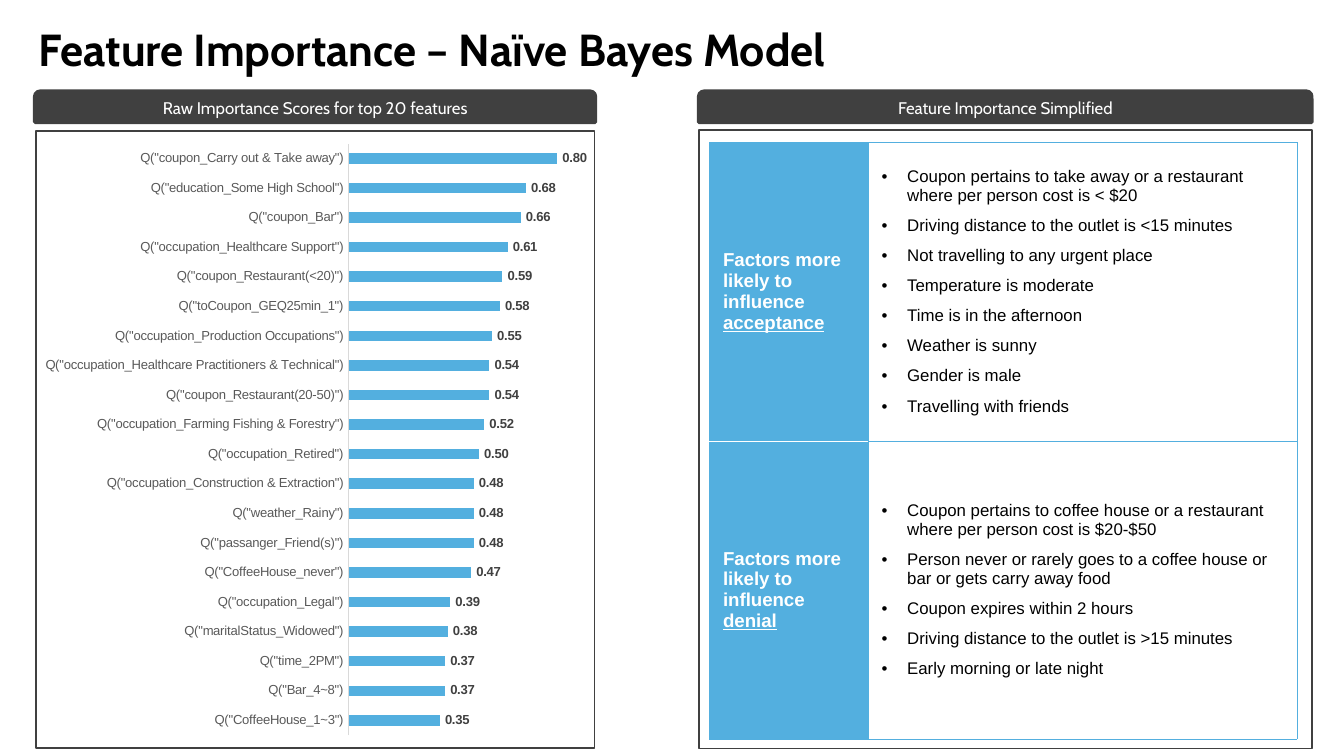
from dataclasses import dataclass

from lxml.etree import SubElement
from pptx import Presentation
from pptx.chart.data import CategoryChartData
from pptx.dml.color import RGBColor
from pptx.enum.chart import XL_CHART_TYPE, XL_LABEL_POSITION, XL_TICK_LABEL_POSITION, XL_TICK_MARK
from pptx.enum.shapes import MSO_SHAPE
from pptx.enum.text import MSO_ANCHOR, PP_ALIGN
from pptx.oxml import parse_xml
from pptx.oxml.ns import nsdecls, qn
from pptx.util import Inches, Pt


@dataclass(frozen=True)
class Theme:
    blue: str = "53AFDF"
    dark: str = "404040"
    grey: str = "595959"
    rule: str = "D9D9D9"
    black: str = "000000"
    white: str = "FFFFFF"
    heading: str = "Cabin"
    body: str = "Arial"
    title_size: int = 24
    factor_size: int = 10
    text_size: int = 9
    chart_size: int = 7


T = Theme()
LEFT_X, LEFT_W = 0.26, 4.17
RIGHT_X, RIGHT_W = 5.2, 4.56
HEADER_Y, HEADER_H = 0.68, 0.23
PANEL_Y, PANEL_H = 0.97, 4.6

SCORES = [
    ('Q("coupon_Carry out & Take away")', 0.80),
    ('Q("education_Some High School")', 0.68),
    ('Q("coupon_Bar")', 0.66),
    ('Q("occupation_Healthcare Support")', 0.61),
    ('Q("coupon_Restaurant(<20)")', 0.59),
    ('Q("toCoupon_GEQ25min_1")', 0.58),
    ('Q("occupation_Production Occupations")', 0.55),
    ('Q("occupation_Healthcare Practitioners & Technical")', 0.54),
    ('Q("coupon_Restaurant(20-50)")', 0.54),
    ('Q("occupation_Farming Fishing & Forestry")', 0.52),
    ('Q("occupation_Retired")', 0.50),
    ('Q("occupation_Construction & Extraction")', 0.48),
    ('Q("weather_Rainy")', 0.48),
    ('Q("passanger_Friend(s)")', 0.48),
    ('Q("CoffeeHouse_never")', 0.47),
    ('Q("occupation_Legal")', 0.39),
    ('Q("maritalStatus_Widowed")', 0.38),
    ('Q("time_2PM")', 0.37),
    ('Q("Bar_4~8")', 0.37),
    ('Q("CoffeeHouse_1~3")', 0.35),
]
FACTORS = [
    ("acceptance", [
        "Coupon pertains to take away or a restaurant where per person cost is < $20",
        "Driving distance to the outlet is <15 minutes",
        "Not travelling to any urgent place",
        "Temperature is moderate",
        "Time is in the afternoon",
        "Weather is sunny",
        "Gender is male",
        "Travelling with friends",
    ]),
    ("denial", [
        "Coupon pertains to coffee house or a restaurant where per person cost is $20-$50",
        "Person never or rarely goes to a coffee house or bar or gets carry away food",
        "Coupon expires within 2 hours",
        "Driving distance to the outlet is >15 minutes",
        "Early morning or late night",
    ]),
]


def rgb(color):
    return RGBColor.from_string(color)


def box(x, y, w, h):
    return [Inches(v) for v in (x, y, w, h)]


def style_font(font, size, color, name=T.body, bold=False, underline=None):
    font.size, font.name, font.bold, font.underline = Pt(size), name, bold, underline
    font.color.rgb = rgb(color)


def add_text(p, text, align=None, **fmt):
    """Append one formatted run to a paragraph."""
    p.alignment = align
    r = p.add_run()
    r.text = text
    style_font(r.font, **fmt)


def add_title(s, text):
    tf = s.shapes.add_textbox(*box(0.19, 0.06, 9.63, 0.63)).text_frame
    tf.word_wrap = True
    tf.margin_top = tf.margin_bottom = Inches(0.1)
    tf.vertical_anchor = MSO_ANCHOR.TOP
    add_text(tf.paragraphs[0], text, size=T.title_size, color=T.black,
             name=T.heading, bold=True)


def add_panel(s, kind, x, y, w, h, fill=None, weight=1):
    sp = s.shapes.add_shape(kind, *box(x, y, w, h))
    sp.shadow.inherit = False
    if fill:
        sp.fill.solid()
        sp.fill.fore_color.rgb = rgb(fill)
    else:
        sp.fill.background()
    sp.line.color.rgb = rgb(T.dark)
    sp.line.width = Pt(weight)
    return sp


def add_header(s, text, x, w):
    sp = add_panel(s, MSO_SHAPE.ROUND_2_SAME_RECTANGLE, x, HEADER_Y, w, HEADER_H,
                   fill=T.dark, weight=2)
    tf = sp.text_frame
    tf.vertical_anchor = MSO_ANCHOR.MIDDLE
    add_text(tf.paragraphs[0], text, align=PP_ALIGN.CENTER, size=T.text_size,
             color=T.white, name=T.heading)


def frame_chart(chart):
    """Outline the chart and fix the inner plot area, leaving room for long labels."""
    space = chart._chartSpace
    space.chart.addnext(parse_xml(
        f'<c:spPr {nsdecls("c", "a")}><a:noFill/><a:ln w="{Pt(1)}"><a:solidFill>'
        f'<a:srgbClr val="{T.dark}"/></a:solidFill></a:ln></c:spPr>'))
    plot_area = space.chart.plotArea
    for old in plot_area.findall(qn("c:layout")):
        plot_area.remove(old)
    layout = parse_xml(f'<c:layout {nsdecls("c")}/>')
    manual = SubElement(layout, qn("c:manualLayout"))
    for tag, val in (("layoutTarget", "inner"), ("xMode", "edge"), ("yMode", "edge"),
                     ("x", 0.56), ("y", 0.02), ("w", 0.42), ("h", 0.96)):
        SubElement(manual, qn(f"c:{tag}")).set("val", str(val))
    plot_area.insert(0, layout)


def add_score_chart(s):
    data = CategoryChartData(number_format="0.00")
    data.categories = [name for name, _ in SCORES]
    data.add_series("Series 1", [score for _, score in SCORES])
    chart = s.shapes.add_chart(XL_CHART_TYPE.BAR_CLUSTERED,
                               *box(LEFT_X, PANEL_Y, LEFT_W, PANEL_H), data).chart
    chart.has_legend = chart.has_title = False
    style_font(chart.font, 10, T.black)
    frame_chart(chart)

    names = chart.category_axis
    names.reverse_order = True
    names.major_tick_mark = names.minor_tick_mark = XL_TICK_MARK.NONE
    names.tick_label_position = XL_TICK_LABEL_POSITION.NEXT_TO_AXIS
    names.format.line.color.rgb = rgb(T.rule)
    names.format.line.width = Pt(0.75)
    style_font(names.tick_labels.font, T.chart_size, T.grey)

    values = chart.value_axis
    values.visible = values.has_major_gridlines = False
    values.minimum_scale, values.maximum_scale = 0, 0.9

    plot = chart.plots[0]
    plot.gap_width = 182
    plot.vary_by_categories = False
    fill = plot.series[0].format.fill
    fill.solid()
    fill.fore_color.rgb = rgb(T.blue)
    labels = plot.series[0].data_labels
    labels.show_value = True
    labels.position = XL_LABEL_POSITION.OUTSIDE_END
    labels.number_format, labels.number_format_is_linked = "0.00", False
    style_font(labels.font, T.chart_size, T.dark, bold=True)


def set_borders(cell, **colors):
    """Draw hairlines on the sides L, R, T and B, ahead of the cell's fill."""
    tc_pr = cell._tc.get_or_add_tcPr()
    for i, side in enumerate("LRTB"):
        tc_pr.insert(i, parse_xml(
            f'<a:ln{side} {nsdecls("a")} w="{Pt(0.25)}"><a:solidFill>'
            f'<a:srgbClr val="{colors.get(side, T.blue)}"/></a:solidFill></a:ln{side}>'))


def add_bullet(p, text):
    p.space_after = Pt(6)
    p_pr = p._p.get_or_add_pPr()
    p_pr.set("marL", str(Inches(0.19)))
    p_pr.set("indent", str(-Inches(0.19)))
    color = SubElement(p_pr, qn("a:buClr"))
    SubElement(color, qn("a:srgbClr")).set("val", T.black)
    SubElement(p_pr, qn("a:buFont")).set("typeface", T.body)
    SubElement(p_pr, qn("a:buChar")).set("char", "•")
    add_text(p, text, size=T.text_size, color=T.black)


def add_factor_table(s):
    table = s.shapes.add_table(2, 2, *box(5.28, 1.06, 4.38, 4.43)).table
    table.first_row = table.horz_banding = False
    for column, width in zip(table.columns, (1.18, 3.19)):
        column.width = Inches(width)
    for i, (outcome, reasons) in enumerate(FACTORS):
        table.rows[i].height = Inches(2.22)
        factor, detail = table.cell(i, 0), table.cell(i, 1)
        factor.vertical_anchor = detail.vertical_anchor = MSO_ANCHOR.MIDDLE
        factor.fill.solid()
        factor.fill.fore_color.rgb = rgb(T.blue)
        detail.fill.background()
        set_borders(factor, **{"BT"[i]: T.white})
        set_borders(detail)
        p = factor.text_frame.paragraphs[0]
        fmt = dict(size=T.factor_size, color=T.white, bold=True)
        add_text(p, "Factors more likely to influence ", **fmt)
        add_text(p, outcome, underline=True, **fmt)
        tf = detail.text_frame
        for j, reason in enumerate(reasons):
            add_bullet(tf.add_paragraph() if j else tf.paragraphs[0], reason)


def main():
    prs = Presentation()
    prs.slide_width = Inches(10)
    prs.slide_height = prs.slide_width * 9 // 16
    s = prs.slides.add_slide(prs.slide_layouts[6])
    add_title(s, "Feature Importance – Naïve Bayes Model")
    add_score_chart(s)
    add_header(s, "Raw Importance Scores for top 20 features", LEFT_X, LEFT_W)
    add_header(s, "Feature Importance Simplified", RIGHT_X, RIGHT_W)
    add_panel(s, MSO_SHAPE.RECTANGLE, RIGHT_X, PANEL_Y, RIGHT_W, PANEL_H)
    add_factor_table(s)
    prs.save("out.pptx")


if __name__ == "__main__":
    main()
